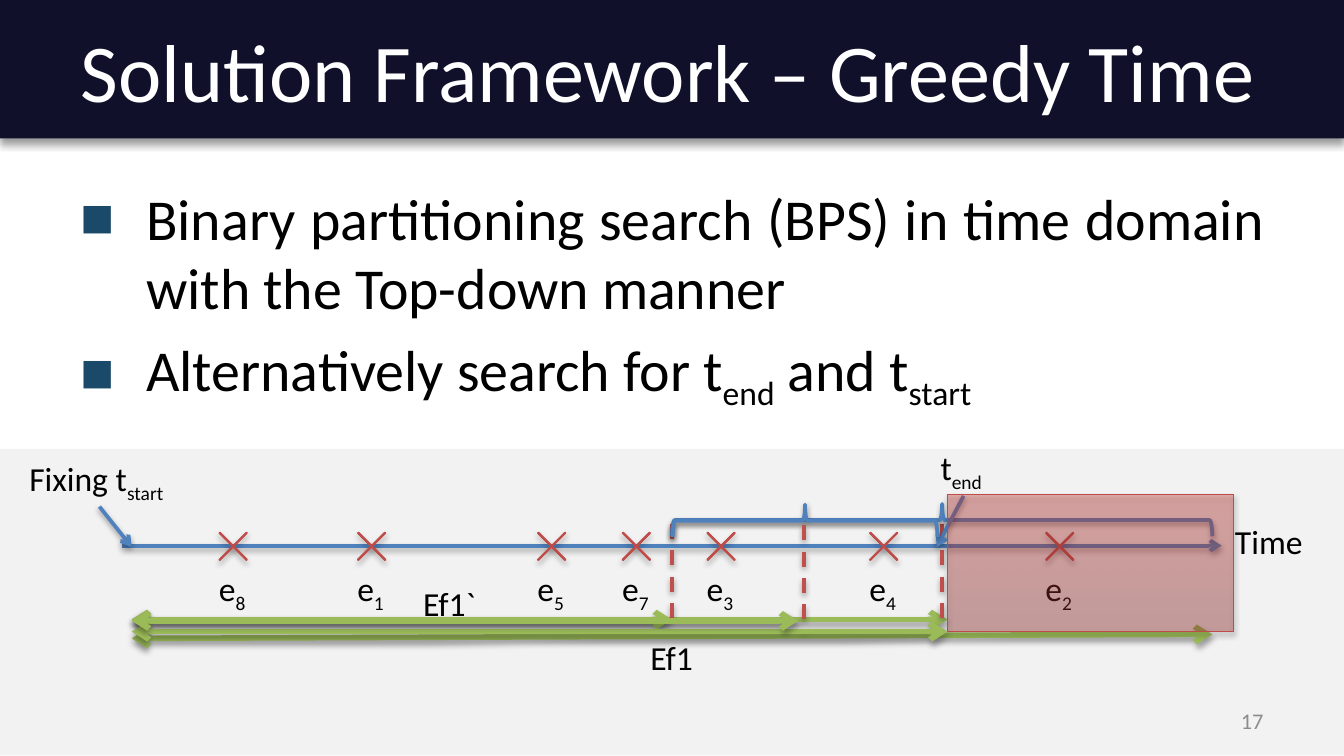
from dataclasses import dataclass

from lxml import etree
from pptx import Presentation
from pptx.dml.color import RGBColor
from pptx.enum.dml import MSO_LINE
from pptx.enum.shapes import MSO_CONNECTOR, MSO_SHAPE
from pptx.enum.text import MSO_ANCHOR, MSO_AUTO_SIZE, PP_ALIGN
from pptx.oxml.ns import qn
from pptx.util import Pt

PX = 9144
RECT, CROSS, BRACE = MSO_SHAPE.RECTANGLE, MSO_SHAPE.MATH_MULTIPLY, MSO_SHAPE.RIGHT_BRACE
STRAIGHT, DASH = MSO_CONNECTOR.STRAIGHT, MSO_LINE.DASH
MIDDLE, GROW = MSO_ANCHOR.MIDDLE, MSO_AUTO_SIZE.SHAPE_TO_FIT_TEXT
LEFT, RIGHT, JUST = PP_ALIGN.LEFT, PP_ALIGN.RIGHT, PP_ALIGN.JUSTIFY


@dataclass(frozen=True)
class Theme:
    font: str = "Calibri"
    navy: str = "10102B"
    pale: str = "F2F2F2"
    white: str = "FFFFFF"
    black: str = "000000"
    grey: str = "8C8C8C"
    teal: str = "1A4969"
    blue: str = "4F81BD"
    green: str = "9BBB59"
    red: str = "C0504D"
    edge: str = "BF4C48"
    ramp: tuple = ((0, "9C2F2D"), (80, "CB3E3A"), (100, "CE3B37"))
    title: int = 44
    body: int = 31
    label: int = 18
    small: int = 12
    bullet: int = 62
    band: tuple = (40, 4, 3)
    thin: tuple = (38, 3.1, 1.6)
    thick: tuple = (35, 3.1, 1.8)


def add(parent, tag, **attrs):
    return etree.SubElement(parent, qn(tag), {k: str(v) for k, v in attrs.items()})


class Board:
    def __init__(self, slide, theme):
        self.shapes = slide.shapes
        self.theme = theme

    def shade(self, item, look):
        props = item._element.spPr
        effects = props.find(qn("a:effectLst"))
        if effects is None:
            effects = add(props, "a:effectLst")
        if look:
            alpha, blur, dist = look
            drop = add(effects, "a:outerShdw", blurRad=Pt(blur), dist=Pt(dist),
                       dir=5400000, rotWithShape=0)
            color = add(drop, "a:srgbClr", val=self.theme.black)
            add(color, "a:alpha", val=alpha * 1000)

    def stroke(self, item, color, width):
        item.line.color.rgb = RGBColor.from_string(color)
        item.line.width = Pt(width)

    def shape(self, kind, box, fill=None, line=None, look=None, **form):
        item = self.shapes.add_shape(kind, *(n * PX for n in box))
        item.shadow.inherit = False
        if fill:
            item.fill.solid()
            item.fill.fore_color.rgb = RGBColor.from_string(fill)
        else:
            item.fill.background()
        if line:
            self.stroke(item, *line)
        else:
            item.line.fill.background()
        for name, value in form.items():
            setattr(item, name, value)
        self.shade(item, look)
        return item

    def blend(self, kind, box, alpha=100):
        theme = self.theme
        item = self.shape(kind, box, line=(theme.edge, 0.75), look=theme.thick)
        props = item._element.spPr
        props.remove(props.find(qn("a:noFill")))
        grad = etree.Element(qn("a:gradFill"), rotWithShape="1")
        stops = add(grad, "a:gsLst")
        for pos, value in theme.ramp:
            color = add(add(stops, "a:gs", pos=pos * 1000), "a:srgbClr", val=value)
            if alpha < 100:
                add(color, "a:alpha", val=alpha * 1000)
        add(grad, "a:lin", ang=16200000, scaled=0)
        props.insert(2, grad)
        return item

    def line(self, ends, color, width=2, ticks=(), dash=None):
        item = self.shapes.add_connector(STRAIGHT, *(n * PX for n in ends))
        self.stroke(item, color, width)
        if dash:
            item.line.dash_style = dash
        rule = item._element.spPr.find(qn("a:ln"))
        for tick in ticks:
            add(rule, tick, type="arrow")
        self.shade(item, self.theme.thick if width == 3 else self.theme.thin)

    def text(self, box, lines, size, color, align=LEFT, bullet=False, **form):
        item = self.shapes.add_textbox(*(n * PX for n in box))
        frame = item.text_frame
        for name, value in {"word_wrap": True, **form}.items():
            setattr(frame, name, value)
        style = {"name": self.theme.font, "size": Pt(size)}
        for i, line in enumerate(lines):
            para = frame.add_paragraph() if i else frame.paragraphs[0]
            para.alignment = align
            if bullet:
                self.bullet(para)
            for j, part in enumerate(line.split("|")):
                if not part:
                    continue
                run = para.add_run()
                run.text = part
                for name, value in style.items():
                    setattr(run.font, name, value)
                run.font.color.rgb = RGBColor.from_string(color)
                if j % 2:
                    run._r.get_or_add_rPr().set("baseline", "-25000")

    def bullet(self, para):
        para.space_before = Pt(self.theme.body * 0.2)
        props = para._p.get_or_add_pPr()
        props.set("marL", str(49 * PX))
        props.set("indent", str(-49 * PX))
        add(add(props, "a:buClr"), "a:srgbClr", val=self.theme.teal)
        add(props, "a:buSzPct", val=self.theme.bullet * 1000)
        add(props, "a:buFont", typeface=self.theme.font)
        add(props, "a:buChar", char="■")

    def label(self, x, y, w, words):
        self.text((x, y, w, 40), [words], self.theme.label, self.theme.black,
                  word_wrap=False, auto_size=GROW)

    def event(self, x, index):
        mark = self.blend(CROSS, (x, 387, 39, 39))
        mark.adjustments[0] = 0.02
        self.label(x - 1, 418, 41, f"e|{index}|")

    def span(self, x, y, end=None):
        self.line((98, y, x, end or y), self.theme.green, 3, ("a:headEnd", "a:tailEnd"))

    def arrow(self, *ends):
        self.line(ends, self.theme.blue, ticks=("a:tailEnd",))

    def split(self, x, y):
        self.line((x, y, x, y + 79), self.theme.red, dash=DASH)

    def brace(self, *box):
        self.shape(BRACE, box, line=(self.theme.blue, 2), look=self.theme.thin, rotation=270)


def main():
    deck = Presentation()
    deck.slide_width = 1000 * PX
    deck.slide_height = deck.slide_width * 9 // 16
    theme = Theme()
    board = Board(deck.slides.add_slide(deck.slide_layouts[6]), theme)

    board.shape(RECT, (0, 334, 1000, 228), theme.pale)
    board.shape(RECT, (0, 0, 1000, 103), theme.navy, look=theme.band)
    board.text((50, 131, 900, 197), [
        "Binary partitioning search (BPS) in time domain with the Top-down manner",
        "Alternatively search for t|end| and t|start|",
    ], theme.body, theme.black, JUST, bullet=True)
    board.span(705, 461)
    board.text((50, 5, 900, 94), ["Solution Framework – Greedy Time"],
               theme.title, theme.white, vertical_anchor=MIDDLE)
    board.text((717, 521, 233, 30), ["17"], theme.small, theme.grey, RIGHT,
               vertical_anchor=MIDDLE)

    board.arrow(91, 406, 909, 406)
    board.label(909, 383, 71, "Time")
    for x, index in ((154, 8), (257, 1), (391, 5), (454, 7), (517, 3), (638, 4), (769, 2)):
        board.event(x, index)

    board.split(500, 390)
    board.span(500, 461)
    board.label(12, 336, 124, "Fixing t|start|")
    board.span(902, 475, 472)
    board.label(474, 469, 53, "Ef1")
    board.label(305, 429, 60, "Ef1`")
    board.split(701, 390)
    board.brace(689, 186, 24, 402)
    board.label(690, 328, 54, "t|end|")
    board.arrow(74, 377, 98, 407)
    board.arrow(717, 369, 697, 407)
    board.blend(RECT, (705, 368, 213, 102), 35)
    board.brace(587, 289, 24, 197)
    board.split(598, 391)
    board.span(705, 470)
    board.span(594, 462)

    deck.save("out.pptx")


if __name__ == "__main__":
    main()
